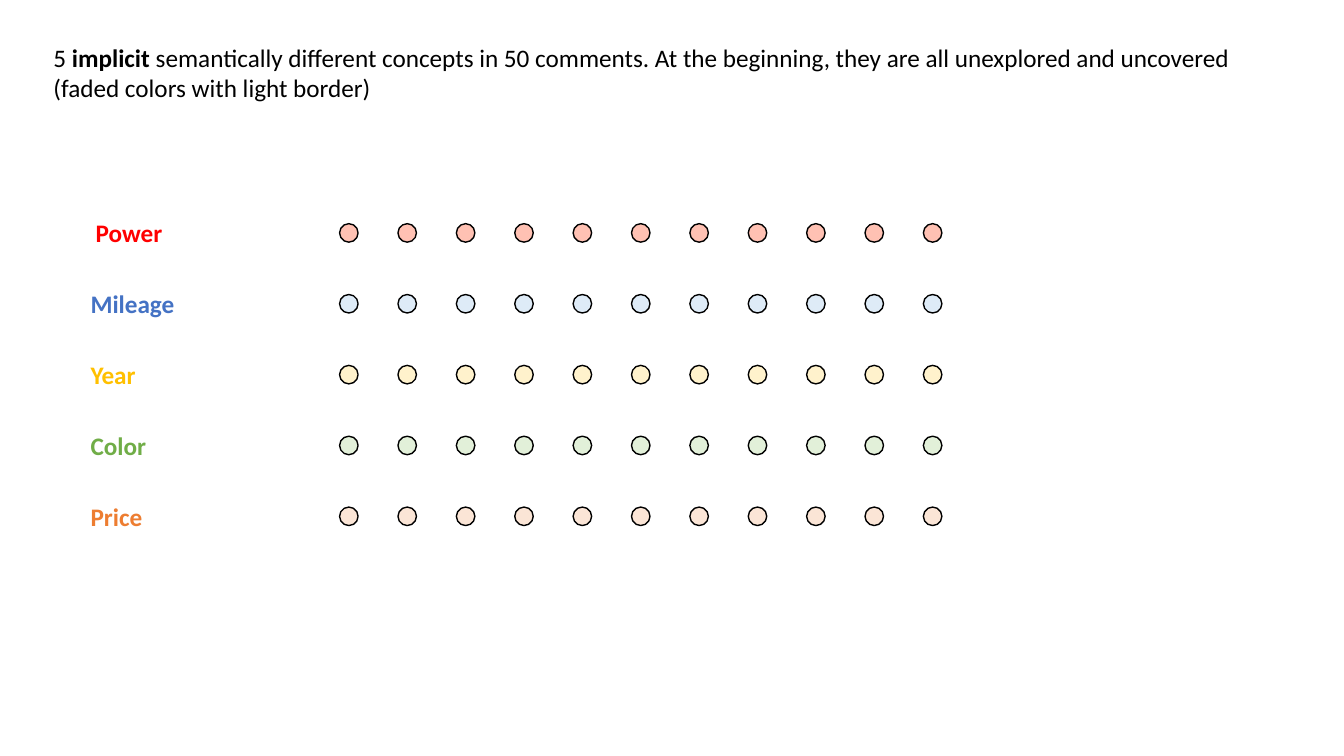
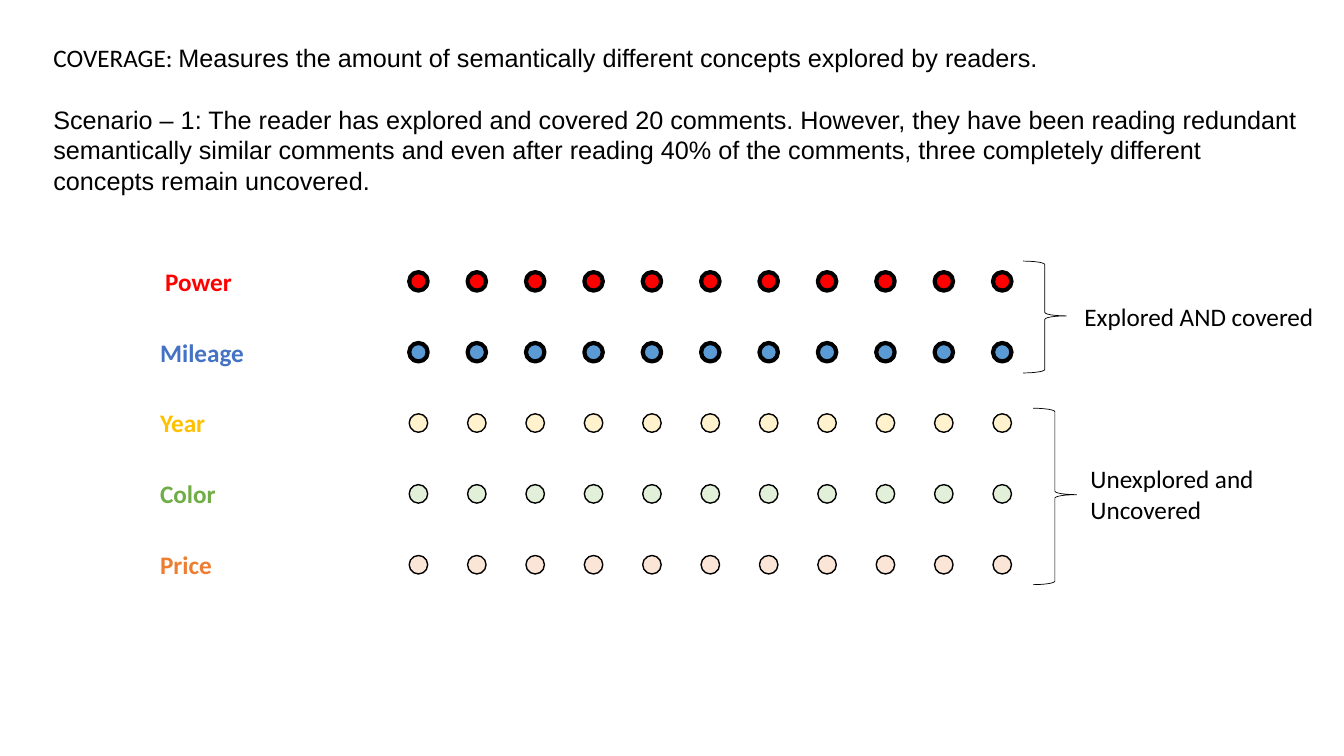
"""Build two slides on how readers cover the concepts found in comments."""
from pptx import Presentation
from pptx.dml.color import RGBColor
from pptx.enum.shapes import MSO_SHAPE
from pptx.enum.text import MSO_ANCHOR, PP_ALIGN
from pptx.util import Pt

BLACK = "000000"
CONCEPTS = [
    ("Power", "FF0000", "FFC1B3", "FF0000"),
    ("Mileage", "4472C4", "DEEBF7", "5B9BD5"),
    ("Year", "FFC000", "FFF2CC", "FFC000"),
    ("Color", "70AD47", "E2F0D9", "70AD47"),
    ("Price", "ED7D31", "FBE5D6", "ED7D31"),
]
DOTS_PER_ROW, DOT_SIZE = 11, 13.2
COLUMN_STEP, ROW_STEP = 41.7, 50.6
LABEL_OFFSET, LABEL_RISE = 185, 7.9

SLIDES = [
    {
        "title": [("5 ", {}), ("implicit", {"bold": True}),
                  (" semantically different concepts in 50 comments. At the beginning, they are all "
                   "unexplored and uncovered (faded colors with light border)", {})],
        "title_size": (882, 51),
        "grid": (242.6, 159.8),
        "explored": 0,
        "texts": [],
        "braces": [],
    },
    {
        "title": [("COVERAGE: ", {}),
                  ("Measures the amount of semantically different concepts explored by readers.",
                   {"name": "Arial"})],
        "title_size": (908.6, 29),
        "grid": (292.3, 194.4),
        "explored": 2,
        "texts": [
            ("Scenario – 1: The reader has explored and covered 20 comments. However, they have been "
             "reading redundant semantically similar comments and even after reading 40% of the "
             "comments, three completely different concepts remain uncovered.",
             (31, 71, 908.6, 72), {"name": "Arial"}),
            ("Explored AND covered", (767.5, 211.7, 192.2, 29), {}),
            ("Unexplored and Uncovered", (771.8, 327.6, 192.2, 51), {}),
        ],
        "braces": [(730.8, 186.5, 31, 79.9), (738, 291.6, 31, 126)],
    },
]


def color(value):
    return RGBColor.from_string(value)


def write(box, bounds, spans):
    for side, length in zip(("left", "top", "width", "height"), bounds):
        setattr(box, side, Pt(length))
    frame = box.text_frame
    frame.word_wrap = True
    frame.vertical_anchor = MSO_ANCHOR.TOP
    para = frame.paragraphs[0]
    para.alignment = PP_ALIGN.LEFT
    for text, changes in spans:
        span = para.add_run()
        span.text = text
        values = {"name": "Calibri", "size": Pt(18), "bold": False, "color": BLACK} | changes
        span.font.color.rgb = color(values.pop("color"))
        for attribute, value in values.items():
            setattr(span.font, attribute, value)


deck = Presentation()
deck.slide_width, deck.slide_height = Pt(960), Pt(540)

for content in SLIDES:
    page = deck.slides.add_slide(deck.slide_layouts[5])
    shapes = page.shapes
    write(shapes.title, (31, 26.6, *content["title_size"]), content["title"])
    grid_left, grid_top = content["grid"]

    for row, (concept, label_color, faded, vivid) in enumerate(CONCEPTS):
        top = grid_top + row * ROW_STEP
        explored = row < content["explored"]
        for column in range(DOTS_PER_ROW):
            dot = shapes.add_shape(MSO_SHAPE.OVAL, Pt(grid_left + column * COLUMN_STEP), Pt(top),
                                   Pt(DOT_SIZE), Pt(DOT_SIZE))
            dot.shadow.inherit = False
            dot.fill.solid()
            dot.fill.fore_color.rgb = color(vivid if explored else faded)
            dot.line.color.rgb = color(BLACK)
            dot.line.width = Pt(3 if explored else 1)
        indent = 3.6 if row == 0 else 0
        label = shapes.add_textbox(0, 0, 0, 0)
        write(label, (grid_left - LABEL_OFFSET + indent, top - LABEL_RISE, 78, 29),
              [(concept, {"bold": True, "color": label_color})])

    for text, bounds, changes in content["texts"]:
        write(shapes.add_textbox(0, 0, 0, 0), bounds, [(text, changes)])

    for bounds in content["braces"]:
        brace = shapes.add_shape(MSO_SHAPE.RIGHT_BRACE, *map(Pt, bounds))
        brace.shadow.inherit = False
        brace.adjustments[0], brace.adjustments[1] = 0.08, 0.49
        brace.fill.background()
        brace.line.color.rgb = color(BLACK)
        brace.line.width = Pt(0.5)

deck.save("out.pptx")
